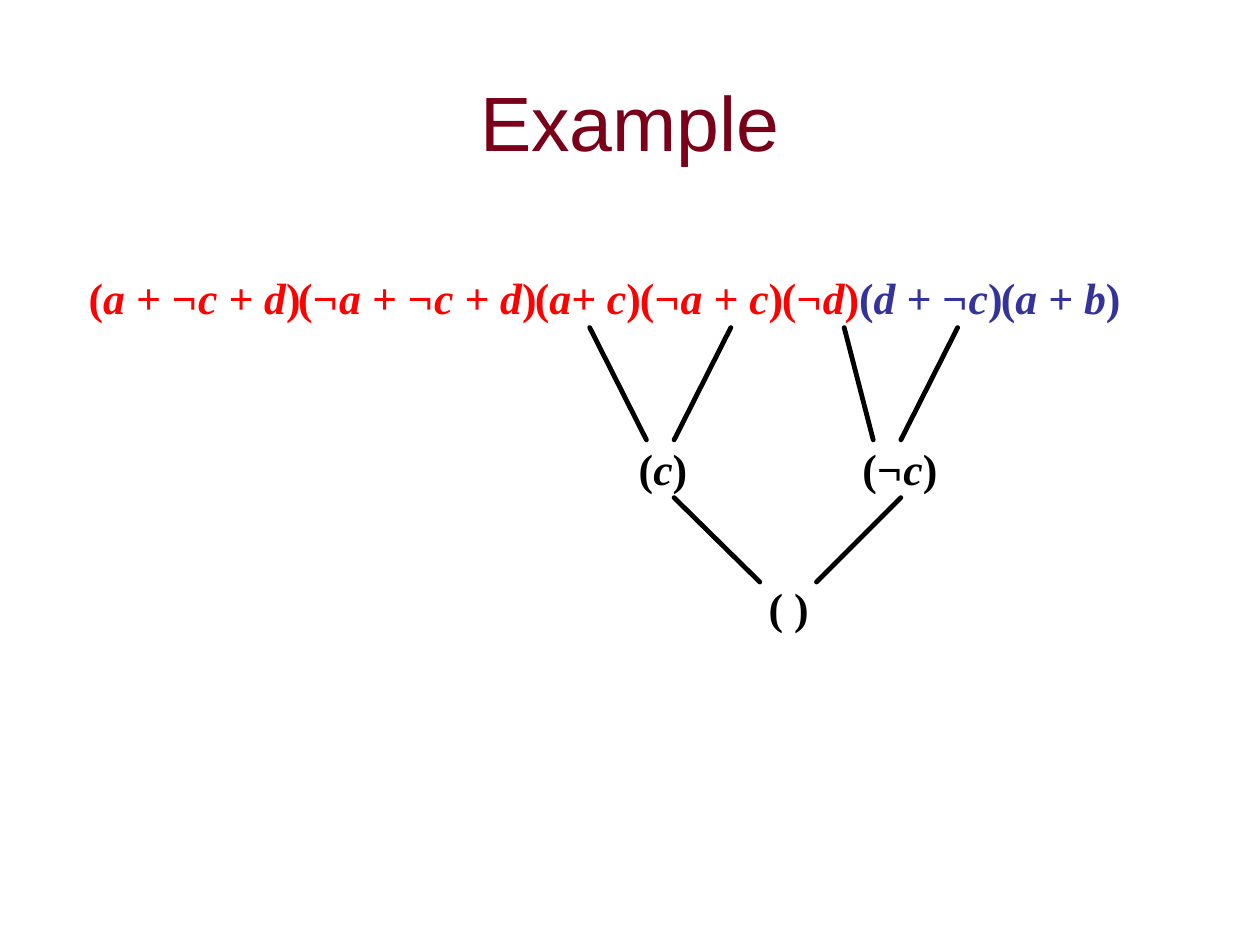
from itertools import groupby

from lxml.etree import SubElement
from pptx import Presentation
from pptx.dml.color import RGBColor
from pptx.enum.shapes import MSO_CONNECTOR
from pptx.enum.text import MSO_ANCHOR, MSO_AUTO_SIZE, PP_ALIGN
from pptx.oxml.ns import qn
from pptx.util import Pt

TITLE = "Example"
MAROON, RED, BLUE, BLACK = "7A0019", "FF0000", "333399", "000000"

# Clauses by row: text, left, width, colour
FORMULA_TOP, RESOLVENT_TOP, EMPTY_TOP = 154.8, 252.7, 332
ROW_HEIGHT = 30.2
CLAUSES = {
    FORMULA_TOP: [
        ("(a + ¬c + d)", 50.7, 122, RED),
        ("(¬a + ¬c + d)", 170.4, 137, RED),
        ("(a+ c)", 305.6, 61, RED),
        ("(¬a + c)", 365.6, 83, RED),
        ("(¬d)", 446.8, 45, RED),
        ("(d + ¬c)", 491, 83, BLUE),
        ("(a + b)", 572, 69, BLUE),
    ],
    RESOLVENT_TOP: [
        ("(c)", 365, 28.5, BLACK),
        ("(¬c)", 492.8, 43.5, BLACK),
    ],
    EMPTY_TOP: [("( )", 439.2, 23.5, BLACK)],
}

# Resolution steps: top y, bottom y, then the top and bottom x of each line
STEPS = [
    (187.2, 251.4, [(337, 369.4), (417.6, 385.2), (482.4, 499), (547.2, 514.8)]),
    (284.4, 332.6, [(385.2, 434.2), (514.8, 466.6)]),
]


def color(hex_string):
    return RGBColor.from_string(hex_string)


def add_run(paragraph, text, *, size, name, fill, bold=False, italic=False):
    run = paragraph.add_run()
    run.text = text
    font = run.font
    font.size, font.name, font.bold, font.italic = Pt(size), name, bold, italic
    font.color.rgb = color(fill)


def add_clause(slide, text, left, top, width, fill):
    """Add a clause with upright parentheses and italic literals."""
    box = slide.shapes.add_textbox(Pt(left), Pt(top), Pt(width), Pt(ROW_HEIGHT))
    frame = box.text_frame
    frame.word_wrap = False
    frame.auto_size = MSO_AUTO_SIZE.SHAPE_TO_FIT_TEXT
    frame.margin_left = frame.margin_right = frame.margin_top = frame.margin_bottom = 0
    for upright, characters in groupby(text, lambda character: character in "()"):
        add_run(frame.paragraphs[0], "".join(characters), size=25,
                name="Times New Roman", fill=fill, bold=True, italic=not upright)


def add_line(slide, start_x, start_y, end_x, end_y):
    connector = slide.shapes.add_connector(
        MSO_CONNECTOR.STRAIGHT, Pt(start_x), Pt(start_y), Pt(end_x), Pt(end_y))
    connector.line.width = Pt(2.75)
    connector.line.color.rgb = color(BLACK)
    properties = connector._element.spPr
    properties.find(qn("a:ln")).set("cap", "rnd")
    SubElement(properties, qn("a:effectLst"))


def add_title(slide):
    title = slide.shapes.title
    title.left, title.top, title.width, title.height = Pt(54), Pt(24), Pt(612), Pt(90)
    title.text_frame.vertical_anchor = MSO_ANCHOR.MIDDLE
    paragraph = title.text_frame.paragraphs[0]
    paragraph.alignment = PP_ALIGN.CENTER
    add_run(paragraph, TITLE, size=44, name="Arial", fill=MAROON)


def main():
    presentation = Presentation()
    presentation.slide_width, presentation.slide_height = Pt(720), Pt(540)
    slide = presentation.slides.add_slide(presentation.slide_layouts.get_by_name("Title Only"))
    add_title(slide)
    for top, clauses in CLAUSES.items():
        for text, left, width, fill in clauses:
            add_clause(slide, text, left, top, width, fill)
    for top, bottom, lines in STEPS:
        for top_x, bottom_x in lines:
            add_line(slide, top_x, top, bottom_x, bottom)
    presentation.save("out.pptx")


if __name__ == "__main__":
    main()
